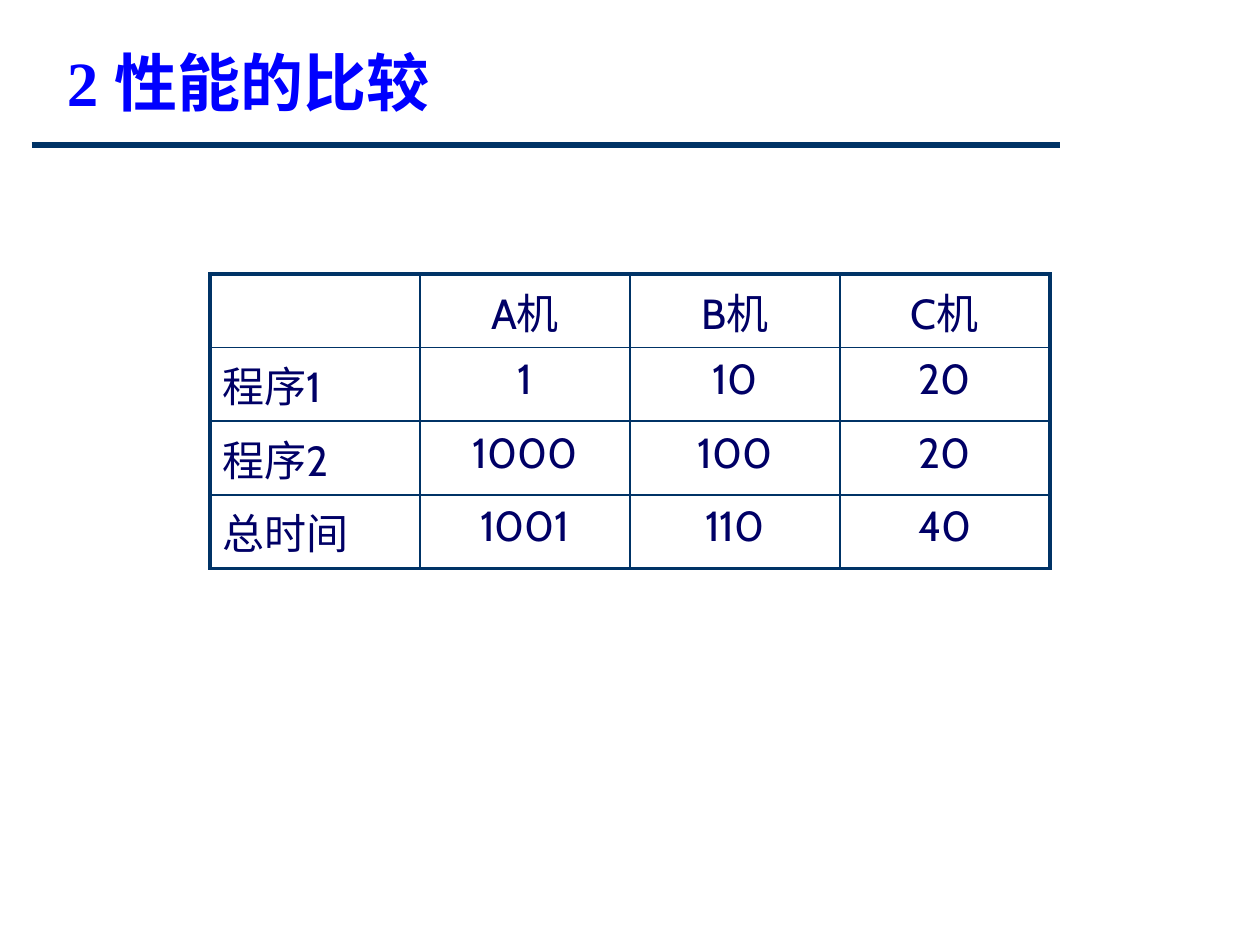
from dataclasses import dataclass

import lxml.etree
import pptx
import pptx.dml.color
import pptx.enum.shapes
import pptx.enum.text
import pptx.oxml.ns
import pptx.util

Align = pptx.enum.text.PP_ALIGN
Anchor = pptx.enum.text.MSO_ANCHOR
qn = pptx.oxml.ns.qn

COLORS = {"rule": "003366", "title": "0000FF", "table": "000066"}
WIDTH, HEIGHT = pptx.util.Inches(10), pptx.util.Inches(7.5)
THIN, MEDIUM, THICK = 1, 1.5, 2.25


@dataclass(frozen=True)
class Timing:
    label: str
    machines: tuple[str, str, str]


TIMINGS = [
    Timing("", ("A机", "B机", "C机")),
    Timing("程序1", ("1", "10", "20")),
    Timing("程序2", ("1000", "100", "20")),
    Timing("总时间", ("1001", "110", "40")),
]


def across(share: float) -> int:
    return round(WIDTH * share)


def down(share: float) -> int:
    return round(HEIGHT * share)


def color(name: str) -> pptx.dml.color.RGBColor:
    return pptx.dml.color.RGBColor.from_string(COLORS[name])


def write(frame, text: str, *, font: str, size: float, ink: str,
          bold: bool = False, align=Align.LEFT) -> None:
    paragraph = frame.paragraphs[0]
    paragraph.alignment = align
    run = paragraph.add_run()
    run.text = text
    run.font.name = font
    run.font.size = pptx.util.Pt(size)
    run.font.bold = bold
    run.font.color.rgb = color(ink)


def draw_title(slide, text: str) -> None:
    title = slide.shapes.title
    title.left, title.top = across(0.043), down(0.039)
    title.width, title.height = across(0.85), down(0.167)
    title.text_frame.vertical_anchor = Anchor.TOP
    write(title.text_frame, text, font="Times New Roman", size=36,
          ink="title", bold=True)


def draw_rule(slide) -> None:
    y = across(0.115)
    rule = slide.shapes.add_connector(
        pptx.enum.shapes.MSO_CONNECTOR.STRAIGHT,
        across(0.025), y, across(0.841), y)
    rule.line.color.rgb = color("rule")
    rule.line.width = pptx.util.Pt(3)
    lxml.etree.SubElement(rule._element.spPr, qn("a:effectLst"))


def set_borders(cell, widths: dict[str, float]) -> None:
    properties = cell._tc.get_or_add_tcPr()
    for position, (side, points) in enumerate(widths.items()):
        border = lxml.etree.Element(qn(f"a:ln{side}"), w=str(pptx.util.Pt(points)))
        fill = lxml.etree.SubElement(border, qn("a:solidFill"))
        lxml.etree.SubElement(fill, qn("a:srgbClr"), val=COLORS["rule"])
        properties.insert(position, border)


def draw_table(slide, timings: list[Timing]) -> None:
    row_count, column_count = len(timings), 1 + len(timings[0].machines)
    table = slide.shapes.add_table(
        row_count, column_count,
        across(1 / 6), down(0.29), across(2 / 3), down(4 / 15)).table
    table.first_row = table.horz_banding = False

    def vertical_edge(row: int, edge: int) -> float:
        if edge in (0, column_count):
            return THICK
        return MEDIUM if edge == 1 and 0 < row < row_count - 1 else THIN

    def horizontal_edge(edge: int) -> float:
        return THICK if edge in (0, row_count) else THIN

    for row, timing in enumerate(timings):
        for column, text in enumerate((timing.label, *timing.machines)):
            cell = table.cell(row, column)
            cell.fill.background()
            set_borders(cell, {
                "L": vertical_edge(row, column),
                "R": vertical_edge(row, column + 1),
                "T": horizontal_edge(row),
                "B": horizontal_edge(row + 1),
            })
            if text:
                write(cell.text_frame, text, font="Cabin", size=24, ink="table",
                      align=Align.CENTER if column else Align.LEFT)


def main() -> None:
    deck = pptx.Presentation()
    deck.slide_width, deck.slide_height = WIDTH, HEIGHT
    slide = deck.slides.add_slide(deck.slide_layouts.get_by_name("Title Only"))
    draw_rule(slide)
    draw_title(slide, "2 性能的比较")
    draw_table(slide, TIMINGS)
    deck.save("out.pptx")


if __name__ == "__main__":
    main()
